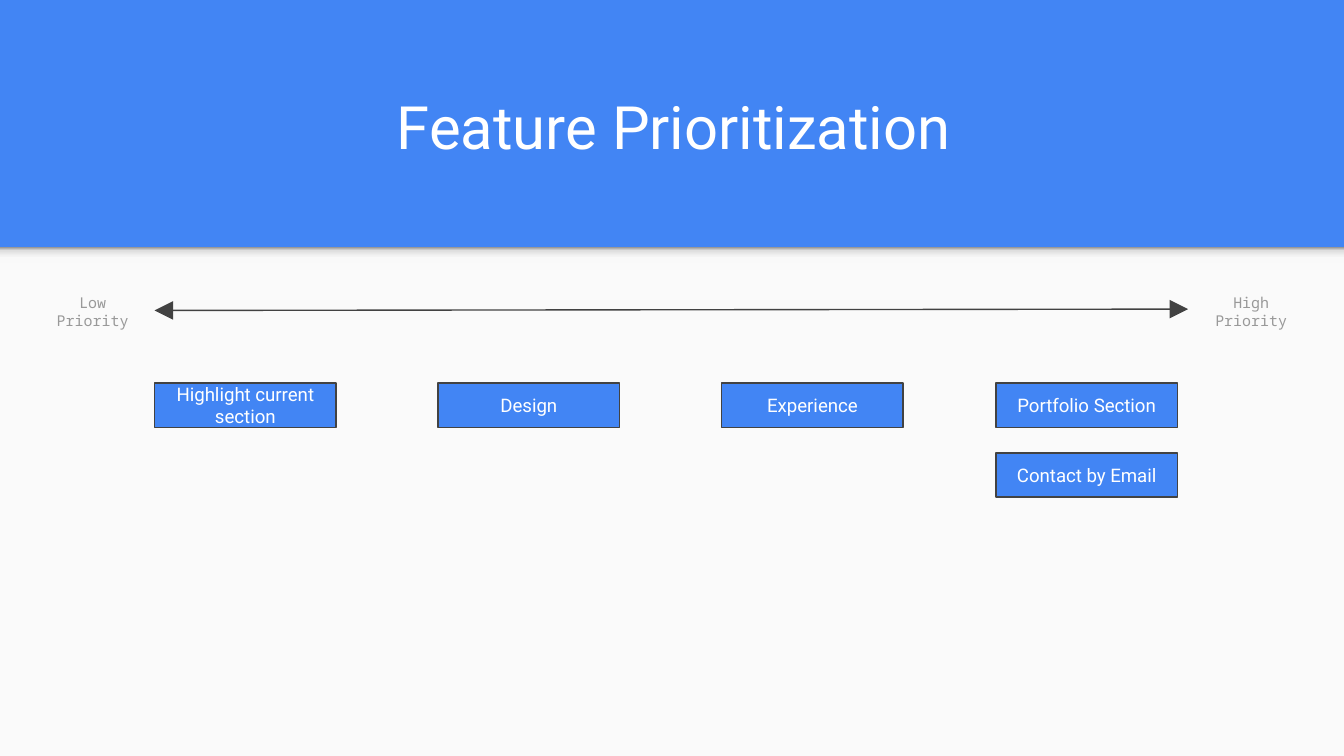
from lxml.etree import SubElement
from pptx import Presentation
from pptx.dml.color import RGBColor
from pptx.enum.shapes import MSO_CONNECTOR, MSO_SHAPE
from pptx.enum.text import MSO_ANCHOR, PP_ALIGN
from pptx.oxml.ns import qn
from pptx.util import Inches, Pt

TITLE = "Feature Prioritization"
FEATURE_COLUMNS = [
    (1.15, ["Highlight current section"]),
    (3.26, ["Design"]),
    (5.37, ["Experience"]),
    (7.41, ["Portfolio Section", "Contact by Email"]),
]
SCALE_LABELS = [("Low Priority", 0.23, 0.92), ("High Priority", 8.84, 0.94)]
SHADOW_STOPS = [(0, "F9F9F9"), (36, "F9F9F9"), (80, "DEDEDE"), (100, "999999")]
COLORS = {
    "blue": "4285F4",
    "panel": "FAFAFA",
    "white": "FFFFFF",
    "outline": "424242",
    "label": "999999",
}
SLIDE_WIDTH = 10
SLIDE_HEIGHT = SLIDE_WIDTH * 9 / 16
PANEL_TOP = 1.84
SHADOW_HEIGHT = 0.12
FEATURE_TOP, FEATURE_WIDTH, FEATURE_HEIGHT, FEATURE_STEP = 2.85, 1.35, 0.33, 0.52


def color(name):
    return RGBColor.from_string(COLORS[name])


def add_rectangle(slide, left, top, width, height):
    rectangle = slide.shapes.add_shape(
        MSO_SHAPE.RECTANGLE, Inches(left), Inches(top), Inches(width), Inches(height)
    )
    rectangle.shadow.inherit = False
    rectangle.line.fill.background()
    return rectangle


def write(shape, text, size, font, color_name, anchor=MSO_ANCHOR.MIDDLE):
    frame = shape.text_frame
    frame.word_wrap = True
    frame.vertical_anchor = anchor
    frame.margin_left = frame.margin_right = Inches(0.1)
    frame.margin_top = frame.margin_bottom = Inches(0.1)
    paragraph = frame.paragraphs[0]
    paragraph.alignment = PP_ALIGN.CENTER
    run = paragraph.add_run()
    run.text = text
    run.font.size = Pt(size)
    run.font.name = font
    run.font.color.rgb = color(color_name)


def add_label(slide, left, top, width, height, *style):
    label = slide.shapes.add_textbox(
        Inches(left), Inches(top), Inches(width), Inches(height)
    )
    write(label, *style)


def add_background(slide):
    slide.background.fill.solid()
    slide.background.fill.fore_color.rgb = color("blue")
    panel = add_rectangle(slide, 0, PANEL_TOP, SLIDE_WIDTH, SLIDE_HEIGHT - PANEL_TOP)
    panel.fill.solid()
    panel.fill.fore_color.rgb = color("panel")

    shadow = add_rectangle(slide, 0, PANEL_TOP, SLIDE_WIDTH, SHADOW_HEIGHT)
    shadow.fill.gradient()
    shadow.fill.gradient_angle = 90
    stops = shadow.element.spPr.find(qn("a:gradFill")).find(qn("a:gsLst"))
    for stop in list(stops):
        stops.remove(stop)
    for position, shade in SHADOW_STOPS:
        stop = SubElement(stops, qn("a:gs"), pos=str(position * 1000))
        SubElement(stop, qn("a:srgbClr"), val=shade)


def add_feature(slide, text, left, top):
    feature = add_rectangle(slide, left, top, FEATURE_WIDTH, FEATURE_HEIGHT)
    feature.fill.solid()
    feature.fill.fore_color.rgb = color("blue")
    feature.line.color.rgb = color("outline")
    feature.line.width = Pt(0.75)
    write(feature, text, 10, "Roboto", "white")


def add_priority_scale(slide):
    arrow = slide.shapes.add_connector(
        MSO_CONNECTOR.STRAIGHT, Inches(1.15), Inches(2.31), Inches(8.84), Inches(2.3)
    )
    arrow.line.color.rgb = color("outline")
    arrow.line.width = Pt(0.75)
    outline = arrow.line._get_or_add_ln()
    for end in ("a:headEnd", "a:tailEnd"):
        SubElement(outline, qn(end), type="triangle", w="lg", len="lg")
    SubElement(arrow.element.spPr, qn("a:effectLst"))
    for text, left, width in SCALE_LABELS:
        add_label(slide, left, 2.14, width, 0.36, text, 8, "Noto Sans Mono", "label")


def main():
    presentation = Presentation()
    presentation.slide_width = Inches(SLIDE_WIDTH)
    presentation.slide_height = Inches(SLIDE_HEIGHT)
    slide = presentation.slides.add_slide(presentation.slide_layouts[6])
    add_background(slide)
    add_label(
        slide, 0.52, 0.46, 8.99, 0.84, TITLE, 32, "Roboto", "white", MSO_ANCHOR.BOTTOM
    )
    for left, features in FEATURE_COLUMNS:
        for row, feature in enumerate(features):
            add_feature(slide, feature, left, FEATURE_TOP + row * FEATURE_STEP)
    add_priority_scale(slide)
    presentation.save("out.pptx")


if __name__ == "__main__":
    main()
